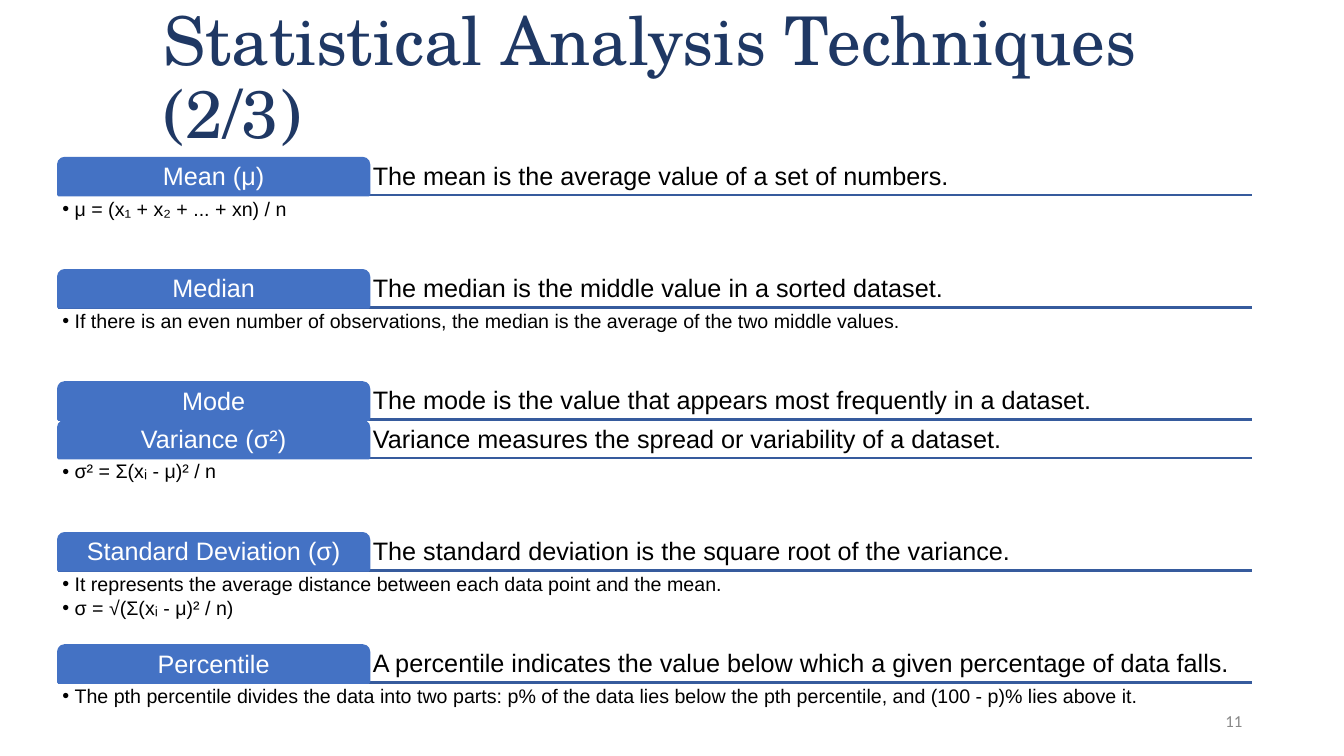
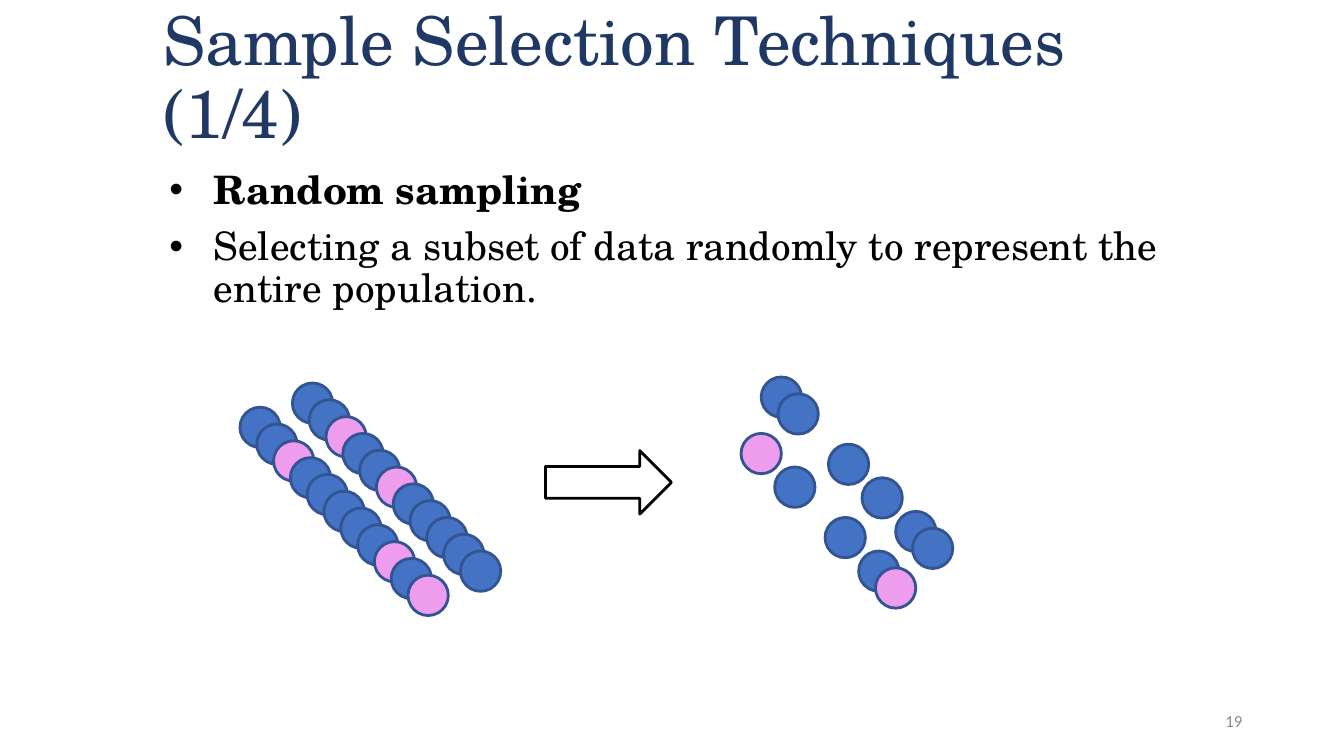
from lxml.etree import SubElement
from pptx import Presentation
from pptx.dml.color import RGBColor
from pptx.enum.shapes import MSO_CONNECTOR, MSO_SHAPE
from pptx.enum.text import MSO_ANCHOR, MSO_AUTO_SIZE, PP_ALIGN
from pptx.oxml.ns import qn
from pptx.util import Inches, Pt

COLORS = {"title": "1F3864", "blue": "4472C4", "rule": "365B9D", "outline": "325491",
          "pink": "EE9CEE", "text": "000000", "white": "FFFFFF", "number": "888888"}
SERIF, SANS, NUMBER_FONT = "TeX Gyre Schola", "Arial", "Calibri"
WIDTH, HEIGHT = 13.33, 7.5
TITLE_LEFT, TITLE_WIDTH = 1.52, 10.17

STATISTICS = [
    ("Mean (μ)", "The mean is the average value of a set of numbers.",
     ["μ = (x₁ + x₂ + ... + xn) / n"]),
    ("Median", "The median is the middle value in a sorted dataset.",
     ["If there is an even number of observations, the median is the average of the two middle values."]),
    ("Mode", "The mode is the value that appears most frequently in a dataset.", []),
    ("Variance (σ²)", "Variance measures the spread or variability of a dataset.",
     ["σ² = Σ(xᵢ - μ)² / n"]),
    ("Standard Deviation (σ)", "The standard deviation is the square root of the variance.",
     ["It represents the average distance between each data point and the mean.",
      "σ = √(Σ(xᵢ - μ)² / n)"]),
    ("Percentile", "A percentile indicates the value below which a given percentage of data falls.",
     ["The pth percentile divides the data into two parts: p% of the data lies below the pth percentile, "
      "and (100 - p)% lies above it."]),
]
TABLE_LEFT, TABLE_TOP, TABLE_WIDTH, TAB_SHARE = 0.58, 1.57, 11.84, 0.26
BAND, DETAIL, ROW_GAP = 0.365, 0.73, 0.018

SAMPLING = ["Random sampling",
            "Selecting a subset of data randomly to represent the entire population."]
DIAMETER, STEP = 0.4, 1 / 6
DOT_LINES = [
    {"start": (2.9, 3.8), "places": range(11), "pink": {2, 5}},
    {"start": (2.38, 4.04), "places": range(11), "pink": {2, 8, 10}},
    {"start": (7.55, 3.74), "places": (0, 1, 4, 6, 8, 9), "pink": set()},
    {"start": (7.35, 4.3), "places": (0, 2, 5, 7, 8), "pink": {0, 8}},
]


def color(name):
    return RGBColor.from_string(COLORS[name])


def inches(*lengths):
    return [Inches(length) for length in lengths]


def write(frame, lines, size, font=SANS, ink="text", align=PP_ALIGN.LEFT, anchor=MSO_ANCHOR.TOP,
          inset=(0.1, 0.05), indent=None, before=0, after=0, spacing=0.9, bold_first=False):
    frame.word_wrap = True
    frame.auto_size = MSO_AUTO_SIZE.NONE
    frame.vertical_anchor = anchor
    frame.margin_left = frame.margin_right = Inches(inset[0])
    frame.margin_top = frame.margin_bottom = Inches(inset[1])
    for index, line in enumerate(lines):
        para = frame.add_paragraph() if index else frame.paragraphs[0]
        if indent:
            properties = para._p.get_or_add_pPr()
            properties.set("marL", str(Inches(indent[0])))
            properties.set("indent", str(Inches(-indent[1])))
            bullet_color = SubElement(properties, qn("a:buClr"))
            SubElement(bullet_color, qn("a:srgbClr"), val=COLORS[ink])
            SubElement(properties, qn("a:buFont"), typeface="Arial")
            SubElement(properties, qn("a:buChar"), char="•")
        para.alignment = align
        para.line_spacing = spacing
        para.space_before = Pt(before if index else 0)
        para.space_after = Pt(after)
        span = para.add_run()
        span.text = line
        span.font.name = font
        span.font.size = Pt(size)
        span.font.bold = bold_first and index == 0
        span.font.color.rgb = color(ink)


def add_text(slide, place, lines, **style):
    write(slide.shapes.add_textbox(*inches(*place)).text_frame, lines, **style)


def place_placeholder(holder, place):
    holder.left, holder.top, holder.width, holder.height = inches(*place)
    return holder.text_frame


def add_shape(slide, kind, place, fill, outline):
    shape = slide.shapes.add_shape(kind, *inches(*place))
    shape.shadow.inherit = False
    if fill:
        shape.fill.solid()
        shape.fill.fore_color.rgb = color(fill)
    else:
        shape.fill.background()
    shape.line.color.rgb = color(outline)
    shape.line.width = Pt(2)
    return shape


def add_rule(slide, left, top, width):
    rule = slide.shapes.add_connector(MSO_CONNECTOR.STRAIGHT, *inches(left, top, left + width, top))
    rule.line.color.rgb = color("rule")
    rule.line.width = Pt(2)
    SubElement(rule._element.spPr, qn("a:effectLst"))


def add_slide(deck, layout, title, number):
    slide = deck.slides.add_slide(deck.slide_layouts.get_by_name(layout))
    frame = place_placeholder(slide.shapes.title, (TITLE_LEFT, 0.07, TITLE_WIDTH, 1.45))
    write(frame, [title], size=48, font=SERIF, ink="title", anchor=MSO_ANCHOR.MIDDLE)
    add_text(slide, (9.42, 6.95, 3, 0.4), [number], size=12, font=NUMBER_FONT, ink="number",
             align=PP_ALIGN.RIGHT, anchor=MSO_ANCHOR.MIDDLE, spacing=1)
    return slide


def build_statistics(deck):
    slide = add_slide(deck, "Title Only", "Statistical Analysis Techniques (2/3)", "11")
    tab_width = TABLE_WIDTH * TAB_SHARE
    inset = (0.04, 0.04)
    top = TABLE_TOP
    for name, meaning, details in STATISTICS:
        bottom = top + BAND
        add_rule(slide, TABLE_LEFT, bottom, TABLE_WIDTH)
        add_text(slide, (TABLE_LEFT + tab_width, top, TABLE_WIDTH - tab_width, BAND), [meaning],
                 size=18, anchor=MSO_ANCHOR.BOTTOM, inset=inset)
        tab = add_shape(slide, MSO_SHAPE.ROUND_2_SAME_RECTANGLE,
                        (TABLE_LEFT, top, tab_width, BAND), "blue", "blue")
        write(tab.text_frame, [name], size=18, ink="white", align=PP_ALIGN.CENTER,
              anchor=MSO_ANCHOR.MIDDLE, inset=inset)
        if details:
            add_text(slide, (TABLE_LEFT, bottom, TABLE_WIDTH, DETAIL), details,
                     size=14, inset=inset, indent=(0.12, 0.12), after=2)
        top = bottom + ROW_GAP + (DETAIL if details else 0)


def build_sampling(deck):
    slide = add_slide(deck, "Title and Content", "Sample Selection Techniques (1/4)", "19")
    frame = place_placeholder(slide.placeholders[1], (TITLE_LEFT, 1.64, TITLE_WIDTH, 5.12))
    write(frame, SAMPLING, size=28, font=SERIF, indent=(0.5, 0.44), before=10, bold_first=True)
    for dots in DOT_LINES:
        left, top = dots["start"]
        for place in dots["places"]:
            offset = place * STEP
            add_shape(slide, MSO_SHAPE.OVAL, (left + offset, top + offset, DIAMETER, DIAMETER),
                      "pink" if place in dots["pink"] else "blue", "outline")
    add_shape(slide, MSO_SHAPE.RIGHT_ARROW, (5.41, 4.47, 1.25, 0.63), None, "text")


def main():
    """Build the two statistics slides and save the deck."""
    deck = Presentation()
    deck.slide_width, deck.slide_height = inches(WIDTH, HEIGHT)
    build_statistics(deck)
    build_sampling(deck)
    deck.save("out.pptx")


if __name__ == "__main__":
    main()
